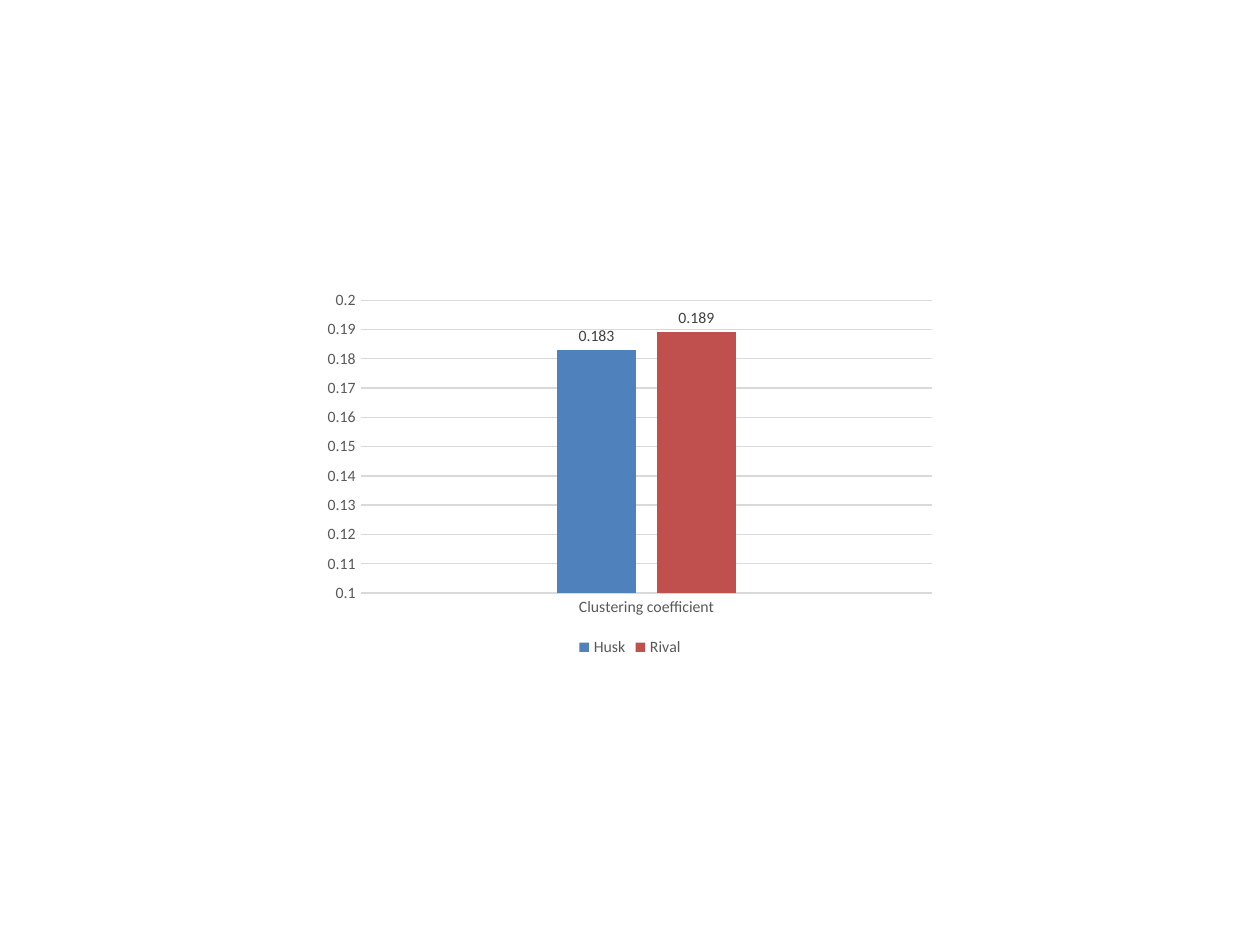
from pptx import Presentation
from pptx.chart.data import CategoryChartData
from pptx.dml.color import RGBColor
from pptx.enum.chart import XL_CHART_TYPE, XL_LABEL_POSITION, XL_LEGEND_POSITION, XL_TICK_MARK
from pptx.util import Inches, Pt


def set_font(font, color, size=9):
    """Set the typeface, size and colour of a chart font."""
    font.name = "Calibri"
    font.size = Pt(size)
    font.bold = False
    font.color.rgb = RGBColor.from_string(color)


def set_line(line, color):
    """Give a chart line its colour and a thin width."""
    line.color.rgb = RGBColor.from_string(color)
    line.width = Pt(0.75)


GREY, TEXT, LABEL = "D9D9D9", "595959", "404040"
SERIES = [("Husk", 0.183, "4F81BD"), ("Rival", 0.189, "C0504D")]

prs = Presentation()
prs.slide_width, prs.slide_height = Inches(10), Inches(7.5)
s = prs.slides.add_slide(prs.slide_layouts[6])

data = CategoryChartData()
data.categories = ["Clustering coefficient"]
for name, value, color in SERIES:
    data.add_series(name, [value])

chart = s.shapes.add_chart(XL_CHART_TYPE.COLUMN_CLUSTERED, Inches(2.5), Inches(2.25),
                           Inches(5), Inches(3), data).chart
set_font(chart.font, "000000", 10)
chart.has_title = False
chart.has_legend = True
chart.legend.position = XL_LEGEND_POSITION.BOTTOM
chart.legend.include_in_layout = False
set_font(chart.legend.font, TEXT)

for axis in (chart.category_axis, chart.value_axis):
    axis.major_tick_mark = axis.minor_tick_mark = XL_TICK_MARK.NONE
    set_font(axis.tick_labels.font, TEXT)
set_line(chart.category_axis.format.line, GREY)

value_axis = chart.value_axis
value_axis.minimum_scale, value_axis.maximum_scale = 0.1, 0.2
value_axis.major_unit = 0.01
value_axis.format.line.fill.background()
set_line(value_axis.major_gridlines.format.line, GREY)

plot = chart.plots[0]
plot.gap_width, plot.overlap = 500, -27
plot.vary_by_categories = False
for series, (name, value, color) in zip(plot.series, SERIES):
    series.format.fill.solid()
    series.format.fill.fore_color.rgb = RGBColor.from_string(color)
    series.invert_if_negative = False
    labels = series.data_labels
    labels.show_value = True
    labels.position = XL_LABEL_POSITION.OUTSIDE_END
    set_font(labels.font, LABEL)

prs.save("out.pptx")
